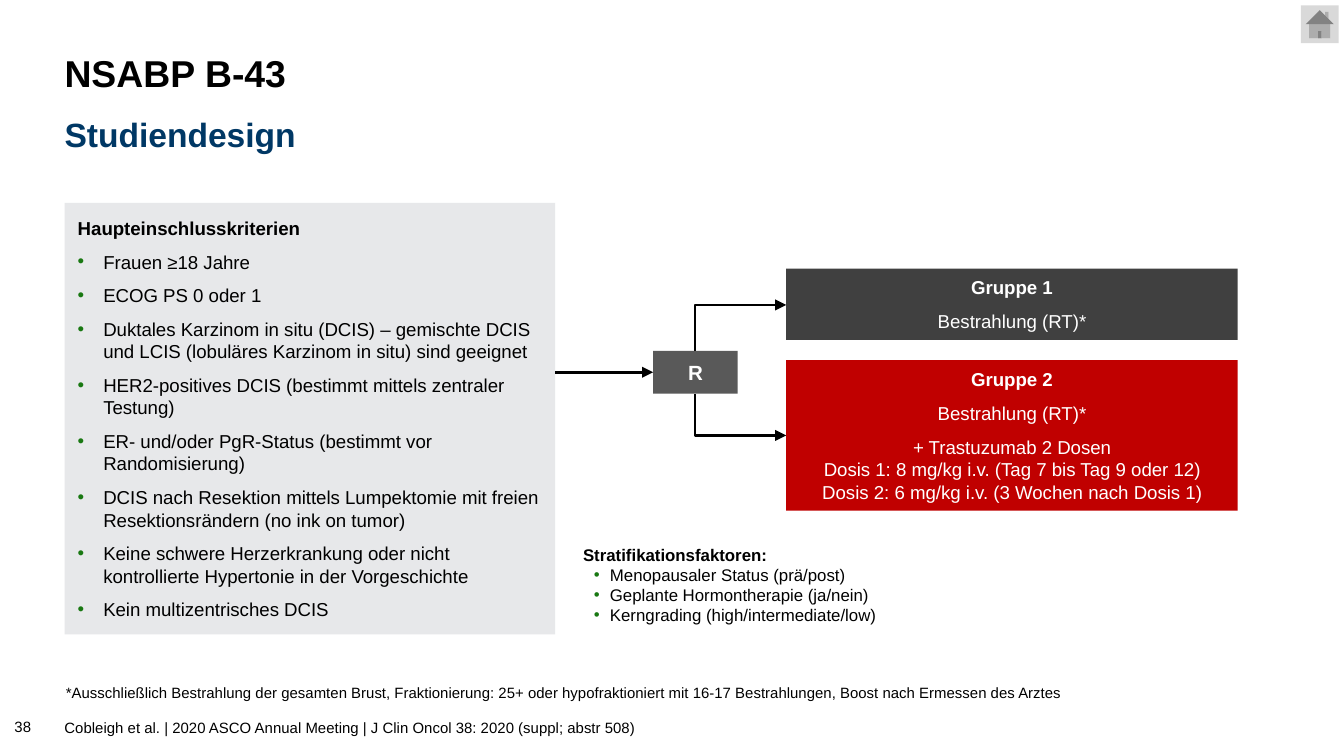
from dataclasses import dataclass

from lxml import etree
from pptx import Presentation
from pptx.dml.color import RGBColor
from pptx.enum.shapes import MSO_CONNECTOR, MSO_SHAPE
from pptx.enum.text import MSO_ANCHOR, MSO_AUTO_SIZE, PP_ALIGN
from pptx.oxml.ns import qn
from pptx.util import Inches, Pt

RECT, HOME = MSO_SHAPE.RECTANGLE, MSO_SHAPE.ACTION_BUTTON_HOME
STRAIGHT, ELBOW = MSO_CONNECTOR.STRAIGHT, MSO_CONNECTOR.ELBOW
TOP, MIDDLE, BOTTOM = MSO_ANCHOR.TOP, MSO_ANCHOR.MIDDLE, MSO_ANCHOR.BOTTOM
LEFT, CENTER = PP_ALIGN.LEFT, PP_ALIGN.CENTER
NO_AUTOFIT = MSO_AUTO_SIZE.NONE

PADDING = (0.1, 0.05, 0.1, 0.05)
FLUSH_LEFT = (0, 0.05, 0.1, 0.05)


@dataclass(frozen=True)
class Theme:
    font: str = "Arial"
    text: str = "000000"
    inverse: str = "FFFFFF"
    heading: str = "003865"
    bullet: str = "197812"
    panel: str = "E7E8EA"
    button: str = "D9D9D9"
    node: str = "595959"
    control: str = "404040"
    treatment: str = "C00000"
    title_size: int = 20
    subtitle_size: int = 18
    node_size: int = 11
    body_size: int = 10
    factor_size: int = 9
    note_size: int = 8
    line_width: float = 1.5


THEME = Theme()


def write(tf, text, *, size=THEME.body_size, color=THEME.text, bold=False, align=LEFT,
          before=0, after=0, spacing=1.0, indent=None):
    p = tf.paragraphs[0] if not tf.text else tf.add_paragraph()
    p.alignment, p.line_spacing = align, spacing
    p.space_before, p.space_after = Pt(before), Pt(after)
    if indent:
        margin, hanging = indent
        pPr = p._p.get_or_add_pPr()
        pPr.set("marL", str(Inches(margin)))
        pPr.set("indent", str(-Inches(hanging)))
        bullet_color = etree.SubElement(pPr, qn("a:buClr"))
        etree.SubElement(bullet_color, qn("a:srgbClr"), val=THEME.bullet)
        etree.SubElement(pPr, qn("a:buFont"), typeface=THEME.font)
        etree.SubElement(pPr, qn("a:buChar"), char="•")
    r = p.add_run()
    r.text = text
    r.font.name, r.font.size, r.font.bold = THEME.font, Pt(size), bold
    r.font.color.rgb = RGBColor.from_string(color)


class SlideBuilder:
    """Draws styled elements on the current slide."""

    def __init__(self, slide, theme):
        self.slide, self.theme = slide, theme

    def frame(self, sp, anchor, insets):
        tf = sp.text_frame
        tf.word_wrap, tf.auto_size, tf.vertical_anchor = True, NO_AUTOFIT, anchor
        tf.margin_left, tf.margin_top, tf.margin_right, tf.margin_bottom = map(Inches, insets)
        return tf

    def placeholder(self, idx, box, text, **fmt):
        sp = self.slide.placeholders[idx]
        sp.left, sp.top, sp.width, sp.height = map(Inches, box)
        write(self.frame(sp, MIDDLE, FLUSH_LEFT), text, bold=True, **fmt)

    def textbox(self, box, anchor=TOP, insets=PADDING):
        return self.frame(self.slide.shapes.add_textbox(*map(Inches, box)), anchor, insets)

    def shape(self, box, fill, kind=RECT, insets=PADDING):
        sp = self.slide.shapes.add_shape(kind, *map(Inches, box))
        sp.shadow.inherit = False
        sp.fill.solid()
        sp.fill.fore_color.rgb = RGBColor.from_string(fill)
        sp.line.fill.background()
        return self.frame(sp, MIDDLE, insets)

    def arrow(self, x1, y1, x2, y2, kind=STRAIGHT):
        connector = self.slide.shapes.add_connector(kind, *map(Inches, (x1, y1, x2, y2)))
        connector.line.width = Pt(self.theme.line_width)
        connector.line.color.rgb = RGBColor.from_string(self.theme.text)
        spPr = connector._element.spPr
        etree.SubElement(spPr.find(qn("a:ln")), qn("a:tailEnd"), type="triangle")
        etree.SubElement(spPr, qn("a:effectLst"))
        return spPr

    def branch(self, x1, y1, x2, y2):
        cx, cy = (x1 + x2) / 2, (y1 + y2) / 2
        dx, dy = abs(y2 - y1) / 2, (x2 - x1) / 2
        down = y2 > y1
        if not down:
            dy = -dy
        spPr = self.arrow(cx + dx, cy - dy, cx - dx, cy + dy, ELBOW)
        spPr.find(qn("a:prstGeom")).set("prst", "bentConnector2")
        spPr.find(qn("a:xfrm")).set("rot", str((270 if down else 90) * 60000))


def main():
    prs = Presentation()
    prs.slide_width, prs.slide_height = Inches(10), Inches(10 * 9 / 16)
    s = SlideBuilder(prs.slides.add_slide(prs.slide_layouts[0]), THEME)

    s.shape((9.68, 0.04, 0.28, 0.28), THEME.button, HOME)
    s.placeholder(0, (0.48, 0.3, 9.06, 0.52), "NSABP B-43", size=THEME.title_size, spacing=0.9)
    s.placeholder(1, (0.48, 0.8, 9.05, 0.39), "Studiendesign",
                  size=THEME.subtitle_size, color=THEME.heading)

    s.branch(5.17, 2.93, 5.85, 3.24)
    s.branch(5.17, 2.61, 5.85, 2.27)
    node = s.shape((4.86, 2.61, 0.63, 0.32), THEME.node, insets=(0.04, 0.05, 0.04, 0.05))
    write(node, "R", size=THEME.node_size, color=THEME.inverse, bold=True, align=CENTER)

    criteria = s.shape((0.48, 1.51, 3.65, 3.21), THEME.panel)
    write(criteria, "Haupteinschlusskriterien", bold=True)
    for item in (
        "Frauen ≥18 Jahre",
        "ECOG PS 0 oder 1",
        "Duktales Karzinom in situ (DCIS) – gemischte DCIS und LCIS "
        "(lobuläres Karzinom in situ) sind geeignet",
        "HER2-positives DCIS (bestimmt mittels zentraler Testung)",
        "ER- und/oder PgR-Status (bestimmt vor Randomisierung)",
        "DCIS nach Resektion mittels Lumpektomie mit freien Resektionsrändern (no ink on tumor)",
        "Keine schwere Herzerkrankung oder nicht kontrollierte Hypertonie in der Vorgeschichte",
        "Kein multizentrisches DCIS",
    ):
        write(criteria, item, before=6, indent=(0.19, 0.19))

    doses = (
        "+ Trastuzumab 2 Dosen",
        "Dosis 1: 8 mg/kg i.v. (Tag 7 bis Tag 9 oder 12)",
        "Dosis 2: 6 mg/kg i.v. (3 Wochen nach Dosis 1)",
    )
    for name, top, height, fill, extra in (
        ("Gruppe 1", 2, 0.53, THEME.control, ()),
        ("Gruppe 2", 2.68, 1.12, THEME.treatment, doses),
    ):
        group = s.shape((5.85, top, 3.36, height), fill)
        fmt = dict(color=THEME.inverse, align=CENTER)
        write(group, name, bold=True, after=6, **fmt)
        write(group, "Bestrahlung (RT)*", after=6 if extra else 0, **fmt)
        for line in extra:
            write(group, line, **fmt)

    s.arrow(4.13, 2.77, 4.86, 2.77)

    factors = s.textbox((4.24, 4, 2.63, 0.71))
    write(factors, "Stratifikationsfaktoren:", size=THEME.factor_size, bold=True)
    for item in ("Menopausaler Status (prä/post)", "Geplante Hormontherapie (ja/nein)",
                 "Kerngrading (high/intermediate/low)"):
        write(factors, item, size=THEME.factor_size, indent=(0.2, 0.12))

    for text, box, anchor, insets in (
        ("*Ausschließlich Bestrahlung der gesamten Brust, Fraktionierung: 25+ oder "
         "hypofraktioniert mit 16-17 Bestrahlungen, Boost nach Ermessen des Arztes",
         (0.49, 5.09, 9.06, 0.13), BOTTOM, (0, 0, 0, 0)),
        ("Cobleigh et al. | 2020 ASCO Annual Meeting | J Clin Oncol 38: 2020 (suppl; abstr 508)",
         (0.48, 5.3, 9.06, 0.25), TOP, FLUSH_LEFT),
        ("38", (0.01, 5.27, 0.43, 0.25), BOTTOM, PADDING),
    ):
        write(s.textbox(box, anchor, insets), text, size=THEME.note_size)

    prs.save("out.pptx")


if __name__ == "__main__":
    main()
